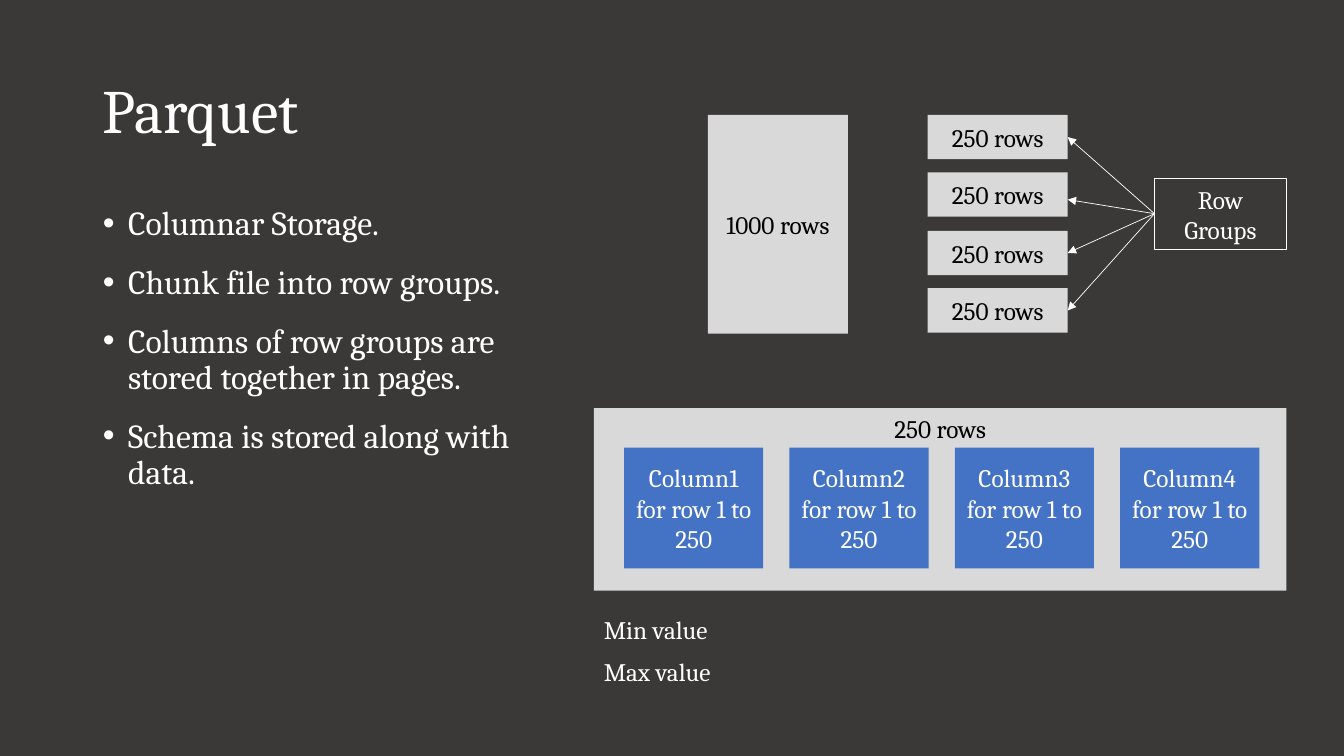
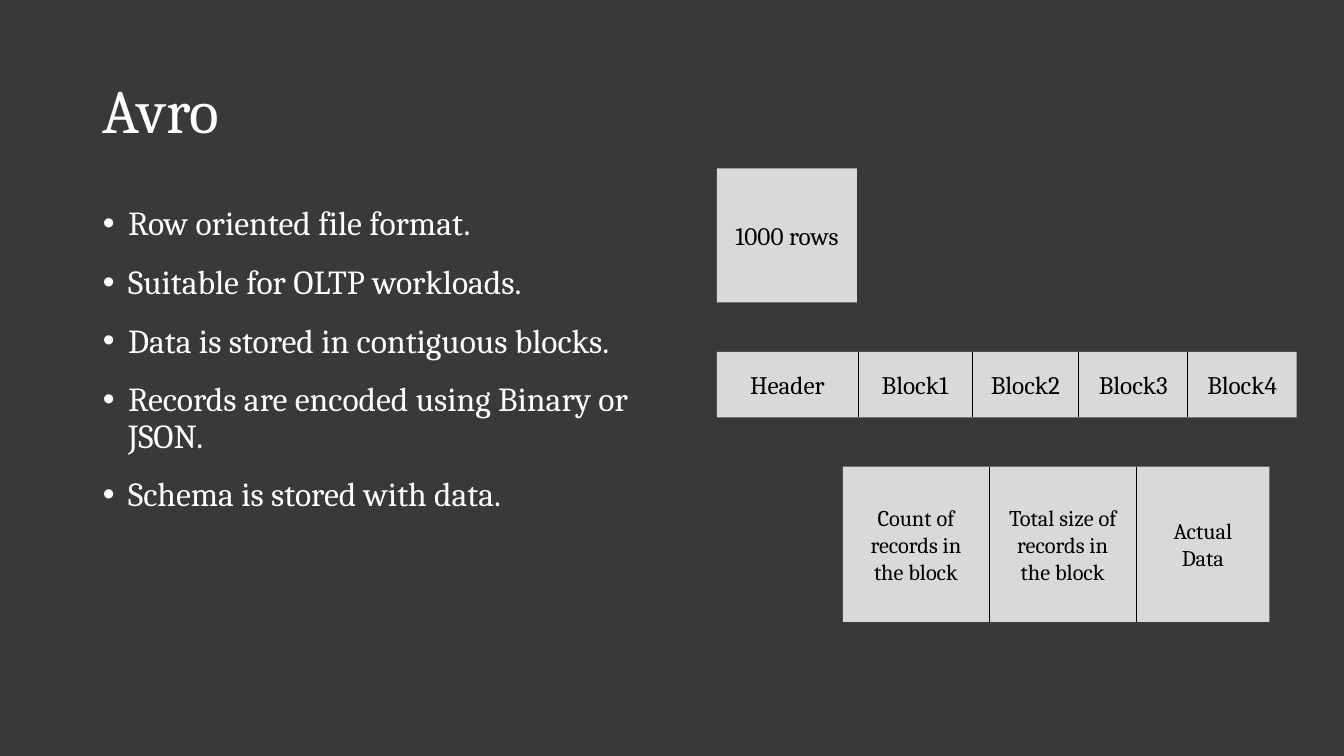
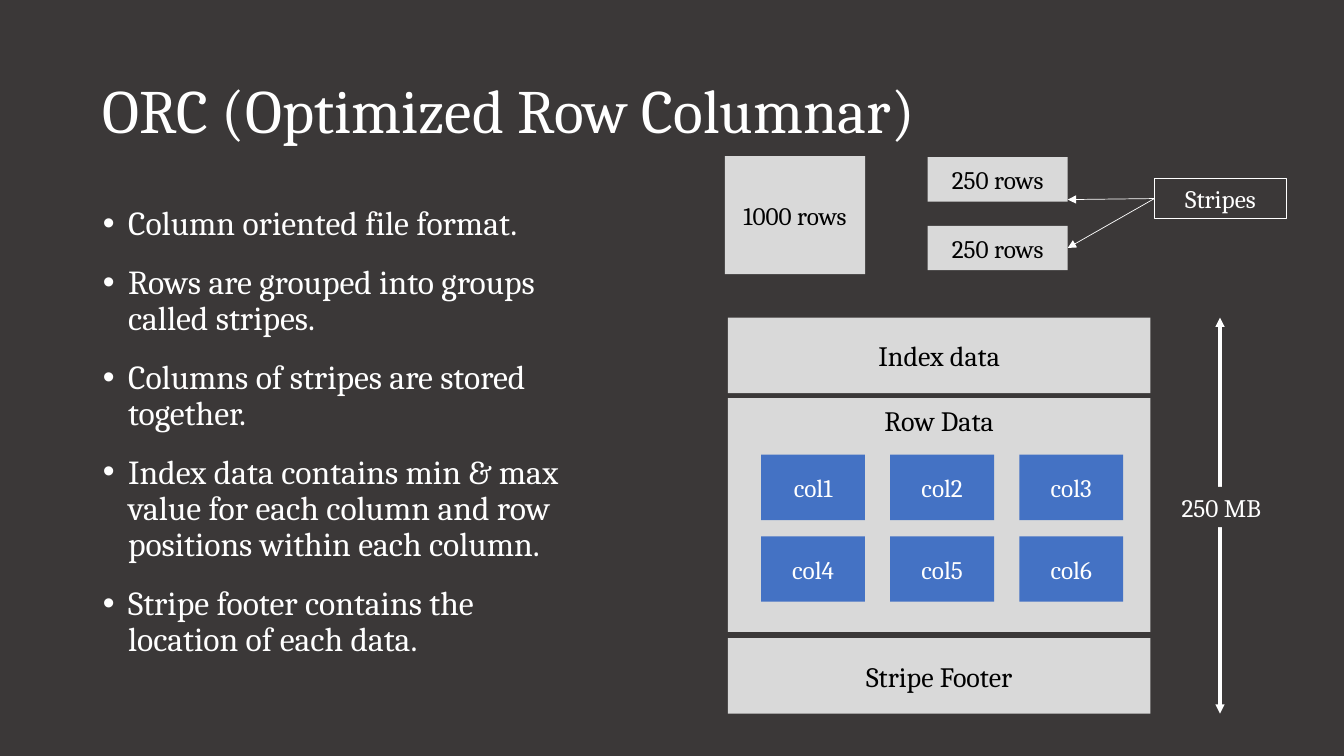
from itertools import pairwise

from lxml.etree import SubElement
from pptx import Presentation
from pptx.dml.color import RGBColor
from pptx.enum.shapes import MSO_CONNECTOR, MSO_SHAPE
from pptx.enum.text import MSO_ANCHOR, MSO_AUTO_SIZE, PP_ALIGN
from pptx.oxml.ns import qn
from pptx.util import Pt

SCALE = 9144
DARK = RGBColor(0x3B, 0x38, 0x38)
GREY = RGBColor(0xD9, 0xD9, 0xD9)
BLUE = RGBColor(0x44, 0x72, 0xC4)
WHITE = RGBColor(0xFF, 0xFF, 0xFF)
BLACK = RGBColor(0x00, 0x00, 0x00)
FONT = "Cambria"


def px(length):
    """Turn px, a hundred to the inch, into EMU."""
    return round(length * SCALE)


def assign(target, values):
    """Set each attribute named in the values."""
    for name, value in values.items():
        setattr(target, name, value)


class Slides:
    """Holds the shared style and the current page."""

    def __init__(self):
        """Start a wide deck with a dark master background."""
        self.deck = Presentation()
        assign(self.deck, {"slide_width": px(1333), "slide_height": px(750)})
        fill = self.deck.slide_master.background.fill
        fill.solid()
        fill.fore_color.rgb = DARK

    def place(self, shape, left, top, width, height):
        """Move and size a shape."""
        assign(shape, {"left": px(left), "top": px(top),
                       "width": px(width), "height": px(height)})

    def add_span(self, para, text, size, color, **layout):
        """Put one styled run into a paragraph."""
        assign(para, layout)
        span = para.add_run()
        span.text = text
        assign(span.font, {"name": FONT, "size": Pt(size)})
        span.font.color.rgb = color

    def start(self, title, bullets, width, height=476):
        """Add a page with its title and bullet list."""
        self.page = self.deck.slides.add_slide(self.deck.slide_layouts[1])
        self.shapes = self.page.shapes
        heading, body = self.page.placeholders
        self.place(heading, 92, 40, 1150, 145)
        assign(heading.text_frame, {"vertical_anchor": MSO_ANCHOR.MIDDLE,
                                    "auto_size": MSO_AUTO_SIZE.NONE})
        self.add_span(heading.text_frame.paragraphs[0], title, 44, WHITE,
                      alignment=PP_ALIGN.LEFT, line_spacing=0.9)
        self.place(body, 92, 200, width, height)
        frame = body.text_frame
        frame.auto_size = MSO_AUTO_SIZE.NONE
        for index, text in enumerate(bullets):
            para = frame.add_paragraph() if index else frame.paragraphs[0]
            properties = para._p.get_or_add_pPr()
            properties.set("marL", str(px(25)))
            properties.set("indent", str(px(-25)))
            self.add_span(para, text, 24, WHITE, line_spacing=0.9,
                          space_before=Pt(10 if index else 0),
                          space_after=Pt(6))

    def group(self):
        """Send the next elements into a new group."""
        self.shapes = self.page.shapes.add_group_shape().shapes

    def ungroup(self):
        """Send the next elements to the page again."""
        self.shapes = self.page.shapes

    def box(self, at, text="", fill=GREY, color=BLACK, size=18,
            anchor=MSO_ANCHOR.MIDDLE, align=PP_ALIGN.CENTER, outline=None):
        """Add a rectangle with text."""
        box = self.shapes.add_shape(MSO_SHAPE.RECTANGLE, *map(px, at))
        box.shadow.inherit = False
        box.fill.solid()
        box.fill.fore_color.rgb = fill
        if outline:
            box.line.color.rgb = outline
            box.line.width = Pt(0.75)
        else:
            box.line.fill.background()
        assign(box.text_frame, {"word_wrap": True, "vertical_anchor": anchor})
        if text:
            self.add_span(box.text_frame.paragraphs[0], text, size, color,
                          alignment=align)

    def label(self, at, text, color=WHITE, size=18, anchor=MSO_ANCHOR.TOP,
              align=PP_ALIGN.LEFT):
        """Add a plain text box."""
        label = self.shapes.add_textbox(*map(px, at))
        assign(label.text_frame, {"word_wrap": True,
                                  "vertical_anchor": anchor})
        self.add_span(label.text_frame.paragraphs[0], text, size, color,
                      alignment=align)

    def line(self, start, end, color=WHITE, width=0.5, heads=()):
        """Add a straight line with optional arrowheads."""
        line = self.shapes.add_connector(MSO_CONNECTOR.STRAIGHT,
                                         *map(px, (*start, *end)))
        line.line.color.rgb = color
        line.line.width = Pt(width)
        outline = line.line._get_or_add_ln()
        for head in heads:
            SubElement(outline, qn(f"a:{head}"), type="triangle")
        SubElement(line._element.spPr, qn("a:effectLst"))

    def row_chunks(self, tops):
        """Stack the boxes of 250 rows."""
        for top in tops:
            self.box((920, top, 139, 44), "250 rows")

    def pointer(self, text, height, targets):
        """Add an outlined label with arrows to the row chunks."""
        self.box((1145, 177, 131, height), text, fill=DARK, color=WHITE,
                 outline=WHITE)
        for target in targets:
            self.line((1145, 177 + height // 2), (1059, target),
                      heads=("tailEnd",))

    def strip(self, edges, top, height, texts, size):
        """Add a grouped band divided into labelled cells."""
        self.group()
        self.box((edges[0], top, edges[-1] - edges[0], height))
        for edge in edges[1:-1]:
            self.line((edge, top), (edge, top + height), BLACK)
        for (left, right), text in zip(pairwise(edges), texts):
            self.label((left + 7, top, right - left - 14, height), text,
                       BLACK, size, MSO_ANCHOR.MIDDLE, PP_ALIGN.CENTER)
        self.ungroup()


def parquet(slides):
    """Build the Parquet page."""
    slides.start("Parquet", [
        "Columnar Storage.",
        "Chunk file into row groups.",
        "Columns of row groups are stored together in pages.",
        "Schema is stored along with data.",
    ], 460)
    slides.box((702, 114, 139, 217), "1000 rows")
    slides.row_chunks([114, 171, 229, 286])
    slides.pointer("Row Groups", 71, [136, 198, 251, 308])
    slides.box((589, 405, 687, 181), "250 rows", anchor=MSO_ANCHOR.TOP)
    for index in range(4):
        slides.box((619 + 164 * index, 444, 138, 120),
                   f"Column{index + 1} for row 1 to 250", BLUE, WHITE)
    for top, text in ((605, "Min value"), (646, "Max value")):
        slides.label((589, top, 220, 40), text)


def avro(slides):
    """Build the Avro page."""
    slides.start("Avro", [
        "Row oriented file format.",
        "Suitable for OLTP workloads.",
        "Data is stored in contiguous blocks.",
        "Records are encoded using Binary or JSON.",
        "Schema is stored with data.",
    ], 555)
    slides.box((711, 167, 139, 133), "1000 rows")
    slides.strip([711, 851, 964, 1070, 1178, 1286], 349, 65,
                 ["Header", "Block1", "Block2", "Block3", "Block4"], 18)
    slides.strip([836, 981, 1127, 1259], 463, 154,
                 ["Count of records in the block",
                  "Total size of records in the block",
                  "Actual Data"], 16)


def orc(slides):
    """Build the ORC page."""
    slides.start("ORC (Optimized Row Columnar)", [
        "Column oriented file format.",
        "Rows are grouped into groups called stripes.",
        "Columns of stripes are stored together.",
        "Index data contains min & max value for each column and row "
        "positions within each column.",
        "Stripe footer contains the location of each data.",
    ], 480, 508)
    for top, text in ((315, "Index data"), (633, "Stripe Footer")):
        slides.box((722, top, 419, 75), text, size=20)
    slides.group()
    slides.box((722, 395, 419, 232), "Row Data", size=20,
               anchor=MSO_ANCHOR.TOP)
    for index in range(6):
        row, column = divmod(index, 3)
        slides.box((755 + 128 * column, 451 + 81 * row, 103, 65),
                   f"col{index + 1}", BLUE, WHITE)
    slides.ungroup()
    slides.box((719, 155, 139, 117), "1000 rows")
    slides.row_chunks([156, 224])
    slides.pointer("Stripes", 40, [198, 246])
    slides.line((1210, 315), (1210, 708), width=2.25,
                heads=("headEnd", "tailEnd"))
    slides.box((1162, 483, 119, 40), "250 MB", DARK, WHITE,
               align=PP_ALIGN.LEFT)


def main():
    """Build and save the deck."""
    slides = Slides()
    for build in (parquet, avro, orc):
        build(slides)
    slides.deck.save("out.pptx")


if __name__ == "__main__":
    main()
